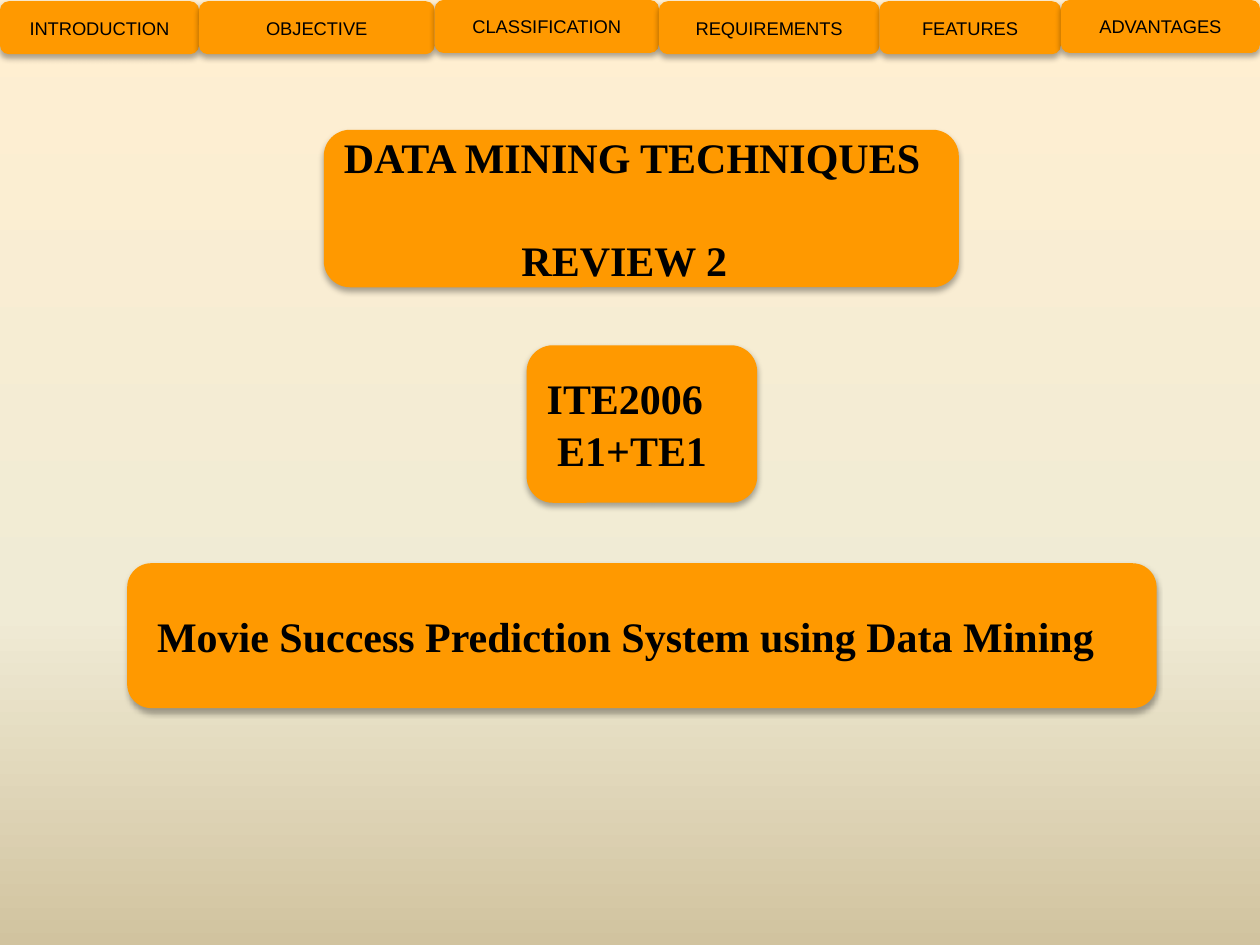
"""Build the title slide of a data mining review with its row of section tabs."""
import copy
import dataclasses
import itertools

import pptx
import pptx.dml.color
import pptx.enum.shapes
import pptx.enum.text
import pptx.oxml
import pptx.oxml.ns
import pptx.util

RGBColor = pptx.dml.color.RGBColor
ORANGE = RGBColor(0xFF, 0x99, 0x00)
BLACK = RGBColor(0x00, 0x00, 0x00)
CREAM = RGBColor(0xFF, 0xEF, 0xD1)
IVORY = RGBColor(0xF0, 0xEB, 0xD5)
SAND = RGBColor(0xD1, 0xC3, 0x9F)

CELL = pptx.util.Inches(0.1)
COLUMNS, ROWS = 100, 75
TAB_ROWS = 4.2
TAB_EDGES = (0, 15.8, 34.5, 52.3, 69.8, 84.2, COLUMNS)
TAB_NAMES = ("INTRODUCTION", "OBJECTIVE", "CLASSIFICATION",
             "REQUIREMENTS", "FEATURES", "ADVANTAGES")
RAISED_TABS = ("CLASSIFICATION", "ADVANTAGES")

ALIGN = pptx.enum.text.PP_ALIGN
TAB_FONT = {"name": "Arial", "size": pptx.util.Pt(10.5)}
PANEL_FONT = {"name": "Times New Roman", "size": pptx.util.Pt(24), "bold": True}
SHADOW = (
    f'<a:outerShdw {pptx.oxml.ns.nsdecls("a")} blurRad="{pptx.util.Pt(3.5)}" '
    f'dist="{pptx.util.Pt(2.2)}" dir="5400000" rotWithShape="0">'
    '<a:srgbClr val="000000"><a:alpha val="32000"/></a:srgbClr></a:outerShdw>'
)


@dataclasses.dataclass(frozen=True)
class Line:
    """One paragraph, with its indent in columns and the gap above in points."""
    text: str
    indent: float = 0
    gap: float = 0


@dataclasses.dataclass(frozen=True)
class Panel:
    """A rounded box placed in columns and rows of the page grid."""
    column: float
    row: float
    columns: float
    rows: float
    lines: tuple[Line, ...]
    font: dict
    align: ALIGN = ALIGN.LEFT


PANELS = (
    Panel(25.7, 10.3, 50.4, 12.5,
          (Line("DATA MINING TECHNIQUES"), Line("REVIEW 2", 14.1, 30)), PANEL_FONT),
    Panel(41.8, 27.4, 18.3, 12.5,
          (Line("ITE2006"), Line(" E1+TE1", gap=1)), PANEL_FONT),
    Panel(10.1, 44.7, 81.7, 11.5,
          (Line(" Movie Success Prediction System using Data Mining"),), PANEL_FONT),
)


def grid(cells: float) -> int:
    """Turn grid cells into a slide length."""
    return round(cells * CELL)


def apply(target: object, values: dict) -> None:
    """Set each named attribute of the target."""
    for name, value in values.items():
        setattr(target, name, value)


def paint_background(page: pptx.slide.Slide) -> None:
    """Fill the page with the three-colour vertical gradient."""
    fill = page.background.fill
    fill.gradient()
    fill.gradient_angle = 270
    stop_list = page.element.xpath(".//a:gsLst")[0]
    stop_list.append(copy.deepcopy(stop_list[-1]))
    stops = ((0, CREAM), (0.65, IVORY), (1, SAND))
    for stop, (position, colour) in zip(fill.gradient_stops, stops):
        stop.position = position
        stop.color.rgb = colour


def draw_panel(page: pptx.slide.Slide, panel: Panel) -> None:
    """Draw one shadowed orange box with its text."""
    place = map(grid, (panel.column, panel.row, panel.columns, panel.rows))
    box = page.shapes.add_shape(
        pptx.enum.shapes.MSO_SHAPE.ROUNDED_RECTANGLE, *place)
    box.fill.solid()
    box.fill.fore_color.rgb = ORANGE
    box.line.fill.background()
    box.shadow.inherit = False
    box.element.xpath("./p:spPr/a:effectLst")[0].append(
        pptx.oxml.parse_xml(SHADOW))
    frame = box.text_frame
    apply(frame, {"word_wrap": True,
                  "vertical_anchor": pptx.enum.text.MSO_ANCHOR.MIDDLE})
    for index, line in enumerate(panel.lines):
        para = frame.add_paragraph() if index else frame.paragraphs[0]
        apply(para, {"alignment": panel.align,
                     "space_before": pptx.util.Pt(line.gap)})
        if line.indent:
            para._p.get_or_add_pPr().set("marL", str(grid(line.indent)))
        span = para.add_run()
        span.text = line.text
        apply(span.font, panel.font)
        span.font.color.rgb = BLACK


def draw_tabs(page: pptx.slide.Slide) -> None:
    """Draw the section tabs side by side along the top edge."""
    for name, (left, right) in zip(TAB_NAMES, itertools.pairwise(TAB_EDGES)):
        row = 0 if name in RAISED_TABS else 0.1
        draw_panel(page, Panel(left, row, right - left, TAB_ROWS,
                               (Line(name),), TAB_FONT, ALIGN.CENTER))


def main() -> None:
    """Assemble the page and save the deck."""
    deck = pptx.Presentation()
    apply(deck, {"slide_width": grid(COLUMNS), "slide_height": grid(ROWS)})
    page = deck.slides.add_slide(deck.slide_layouts[6])
    paint_background(page)
    draw_tabs(page)
    for panel in PANELS:
        draw_panel(page, panel)
    deck.save("out.pptx")


if __name__ == "__main__":
    main()
